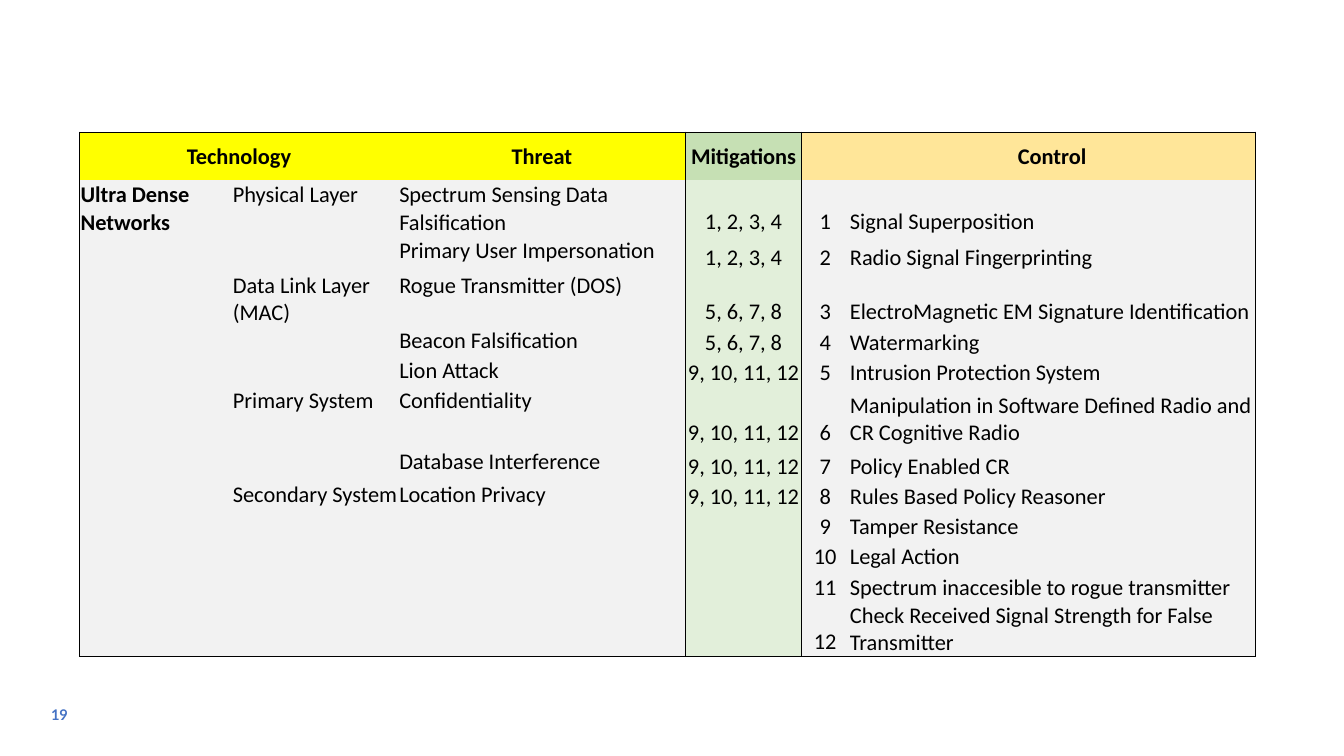
"""Build a slide with a table of threats, mitigations and controls."""
from lxml.etree import SubElement
from pptx import Presentation
from pptx.dml.color import RGBColor
from pptx.enum.text import MSO_ANCHOR, PP_ALIGN
from pptx.oxml.ns import qn
from pptx.util import Inches, Pt

HEAD = ("Technology", "", "Threat", "Mitigations", "", "Control")
THREATS = [
    ("Ultra Dense Networks", "Physical Layer",
     "Spectrum Sensing Data Falsification", "1, 2, 3, 4"),
    ("", "", "Primary User Impersonation", "1, 2, 3, 4"),
    ("", "Data Link Layer (MAC)", "Rogue Transmitter (DOS)", "5, 6, 7, 8"),
    ("", "", "Beacon Falsification", "5, 6, 7, 8"),
    ("", "", "Lion Attack", "9, 10, 11, 12"),
    ("", "Primary System", "Confidentiality", "9, 10, 11, 12"),
    ("", "", "Database Interference", "9, 10, 11, 12"),
    ("", "Secondary System", "Location Privacy", "9, 10, 11, 12"),
]
CONTROLS = [
    "Signal Superposition",
    "Radio Signal Fingerprinting",
    "ElectroMagnetic EM Signature Identification",
    "Watermarking",
    "Intrusion Protection System",
    "Manipulation in Software Defined Radio and CR Cognitive Radio",
    "Policy Enabled CR",
    "Rules Based Policy Reasoner",
    "Tamper Resistance",
    "Legal Action",
    "Spectrum inaccesible to rogue transmitter",
    "Check Received Signal Strength for False Transmitter",
]
WIDTHS = (1.51, 1.65, 2.85, 1.15, 0.47, 4.03)
HEIGHTS = (0.48, 0.55, 0.35, 0.36, 0.3, 0.3, 0.6, 0.33, 0.3, 0.3, 0.3, 0.3, 0.29)
HEAD_FILLS = ("FFFF00",) * 3 + ("C6E0B4",) + ("FFE699",) * 2
BODY_FILLS = ("F2F2F2",) * 3 + ("E2EFDA",) + ("F2F2F2",) * 2
BLACK = "000000"


def color(code):
    return RGBColor.from_string(code)


def style(para, size, face, code, bold):
    for run in para.runs:
        run.font.size = Pt(size)
        run.font.name = face
        run.font.bold = bold
        run.font.color.rgb = color(code)


def border(cell, sides):
    props = cell._tc.get_or_add_tcPr()
    for side in "LRTB":
        line = SubElement(props, qn(f"a:ln{side}"), w=str(Pt(0.5)))
        if side in sides:
            fill = SubElement(line, qn("a:solidFill"))
            SubElement(fill, qn("a:srgbClr"), val=BLACK)
        else:
            SubElement(line, qn("a:noFill"))


def fill_cell(cell, text, row, col):
    head = row == 0
    sides = "L" * (col in (0, 3, 4)) + "R" * (col in (2, 3, 5))
    sides += "T" * head + "B" * (row == len(CONTROLS))
    border(cell, sides)
    cell.fill.solid()
    cell.fill.fore_color.rgb = color((HEAD_FILLS if head else BODY_FILLS)[col])
    cell.margin_left = cell.margin_right = cell.margin_top = Inches(0.01)
    cell.margin_bottom = 0
    low = MSO_ANCHOR.TOP if col < 3 else MSO_ANCHOR.BOTTOM
    cell.vertical_anchor = MSO_ANCHOR.MIDDLE if head else low
    para = cell.text_frame.paragraphs[0]
    para.text = text
    para.alignment = PP_ALIGN.CENTER if head or col in (3, 4) else PP_ALIGN.LEFT
    style(para, 16, "Calibri", BLACK, head or col == 0)
    if not text:
        SubElement(para._p, qn("a:endParaRPr"), sz="1600")


def add_grid(slide):
    rows = [HEAD]
    for num, control in enumerate(CONTROLS, 1):
        threat = THREATS[num - 1] if num <= len(THREATS) else ("",) * 4
        rows.append((*threat, str(num), control))
    frame = slide.shapes.add_table(
        len(rows), len(WIDTHS), Inches(0.79), Inches(1.31),
        Inches(sum(WIDTHS)), Inches(sum(HEIGHTS)))
    table = frame.table
    for col, width in enumerate(WIDTHS):
        table.columns[col].width = Inches(width)
    for row, texts in enumerate(rows):
        table.rows[row].height = Inches(HEIGHTS[row])
        for col, text in enumerate(texts):
            fill_cell(table.cell(row, col), text, row, col)
    table.cell(0, 0).merge(table.cell(0, 1))


def add_number(slide):
    box = slide.shapes.add_textbox(Inches(0.38), Inches(6.89), Inches(0.42), Inches(0.4))
    frame = box.text_frame
    frame.word_wrap = True
    frame.vertical_anchor = MSO_ANCHOR.MIDDLE
    frame.text = "19"
    para = frame.paragraphs[0]
    para.alignment = PP_ALIGN.CENTER
    style(para, 10.5, "Lato", "4472C4", True)


def main():
    deck = Presentation()
    deck.slide_width, deck.slide_height = Inches(13.33), Inches(7.5)
    slide = deck.slides.add_slide(deck.slide_layouts[6])
    add_number(slide)
    add_grid(slide)
    deck.save("out.pptx")


if __name__ == "__main__":
    main()
